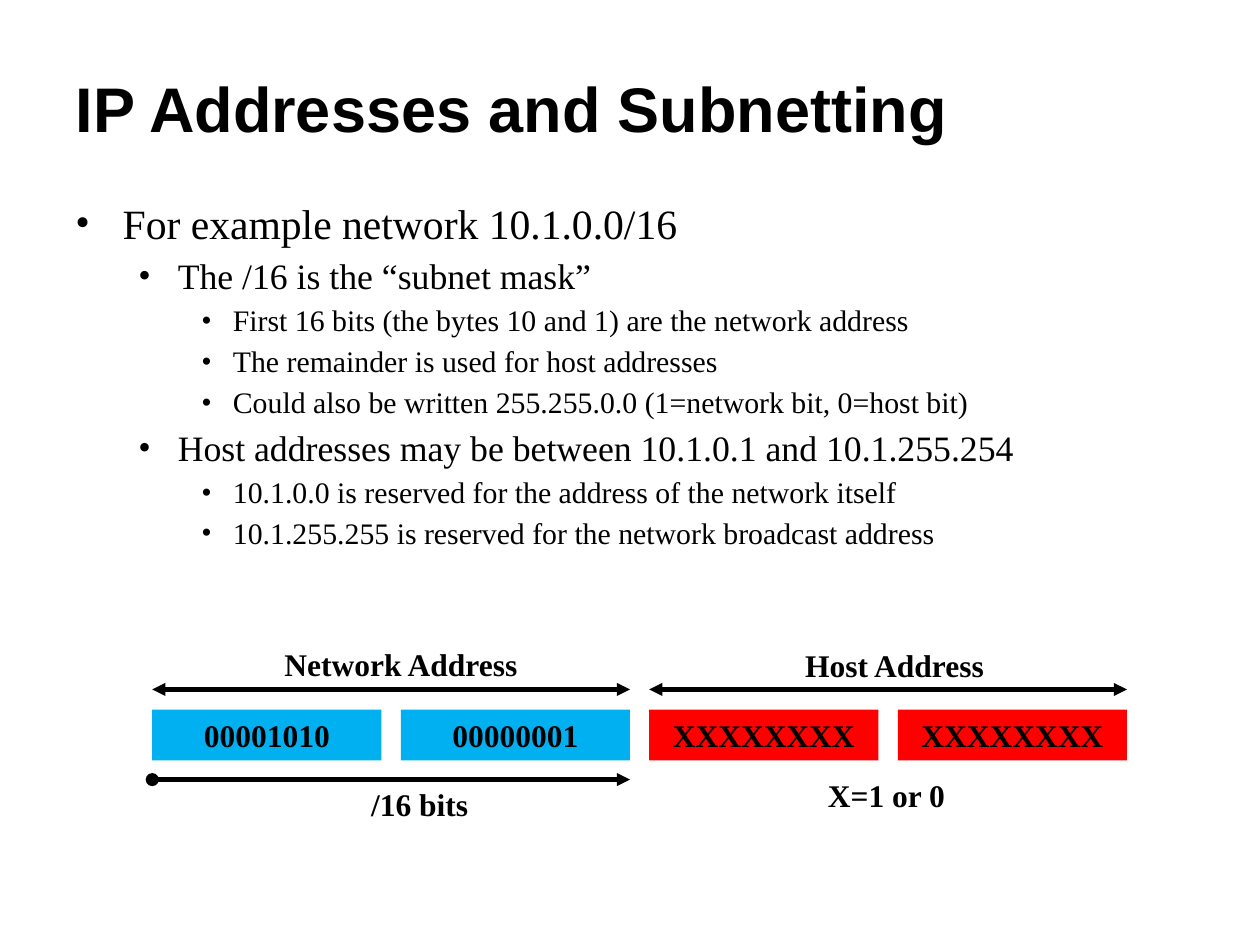
from lxml.etree import SubElement
from pptx import Presentation
from pptx.dml.color import RGBColor
from pptx.enum.shapes import MSO_CONNECTOR, MSO_SHAPE
from pptx.enum.text import MSO_ANCHOR, PP_ALIGN
from pptx.oxml.ns import qn
from pptx.util import Pt

TITLE = "IP Addresses and Subnetting"
BULLETS = [  # level, text
    (0, "For example network 10.1.0.0/16"),
    (1, "The /16 is the “subnet mask”"),
    (2, "First 16 bits (the bytes 10 and 1) are the network address"),
    (2, "The remainder is used for host addresses"),
    (2, "Could also be written 255.255.0.0 (1=network bit, 0=host bit)"),
    (1, "Host addresses may be between 10.1.0.1 and 10.1.255.254"),
    (2, "10.1.0.0 is reserved for the address of the network itself"),
    (2, "10.1.255.255 is reserved for the network broadcast address"),
]
BYTES = [  # text, theme colour
    ("00001010", "network"),
    ("00000001", "network"),
    ("XXXXXXXX", "host"),
    ("XXXXXXXX", "host"),
]
LABELS = [  # text, left, top, width
    ("Network Address", 155.5, 365, 163),
    ("Host Address", 453, 365.5, 163),
    ("/16 bits", 205, 445, 110),
    ("X=1 or 0", 466, 440, 110),
]
SPANS = [  # first byte covered, y, start arrowhead
    (0, 394, "triangle"),
    (2, 394, "triangle"),
    (0, 445.5, "oval"),
]
THEME = {
    "ink": RGBColor(0, 0, 0),
    "network": RGBColor(0x00, 0xB0, 0xF0),
    "host": RGBColor(0xFF, 0, 0),
    "title_font": "Arial",
    "body_font": "Times New Roman",
    "title_size": 36,
    "label_size": 18,
    "line_width": 2.5,
}
LEVELS = [  # type size, text indent, hanging indent, space before
    (23.8, 27, 27, 7),
    (20.4, 58.5, 22.5, 6),
    (17, 90, 18, 5),
]
BYTE_LEFT, BYTE_TOP, BYTE_WIDTH, BYTE_HEIGHT, BYTE_PITCH = 87, 405.5, 131, 29, 142


def style(font, size, bold=False, name=THEME["body_font"]):
    font.name, font.size, font.bold = name, Pt(size), bold
    font.color.rgb = THEME["ink"]


def add_box(slide, left, top, width, height):
    sp = slide.shapes.add_textbox(Pt(left), Pt(top), Pt(width), Pt(height))
    sp.text_frame.word_wrap = True
    return sp.text_frame


def set_bullet(p, indent, hanging):
    pPr = p._p.get_or_add_pPr()
    pPr.set("marL", str(Pt(indent)))
    pPr.set("indent", str(-Pt(hanging)))
    SubElement(pPr, qn("a:buFont"), typeface=THEME["body_font"])
    SubElement(pPr, qn("a:buChar"), char="•")


def add_title(slide):
    sp = slide.shapes.title
    sp.left, sp.top, sp.width, sp.height = Pt(36), Pt(22), Pt(648), Pt(79)
    tf = sp.text_frame
    tf.text = TITLE
    tf.vertical_anchor = MSO_ANCHOR.MIDDLE
    p = tf.paragraphs[0]
    p.alignment = PP_ALIGN.LEFT
    style(p.runs[0].font, THEME["title_size"], True, THEME["title_font"])


def add_bullets(slide):
    tf = add_box(slide, 36, 112.5, 647, 225)
    for i, (level, text) in enumerate(BULLETS):
        size, indent, hanging, before = LEVELS[level]
        p = tf.add_paragraph() if i else tf.paragraphs[0]
        p.text = text
        p.level = level
        p.line_spacing = 0.9
        p.space_before = Pt(before if i else 0)
        set_bullet(p, indent, hanging)
        style(p.runs[0].font, size)


def add_byte(slide, i, text, colour):
    sp = slide.shapes.add_shape(
        MSO_SHAPE.RECTANGLE, Pt(BYTE_LEFT + i * BYTE_PITCH), Pt(BYTE_TOP),
        Pt(BYTE_WIDTH), Pt(BYTE_HEIGHT))
    sp.shadow.inherit = False
    sp.fill.solid()
    sp.fill.fore_color.rgb = THEME[colour]
    sp.line.fill.background()
    sp.text_frame.text = text
    p = sp.text_frame.paragraphs[0]
    p.alignment = PP_ALIGN.CENTER
    style(p.runs[0].font, THEME["label_size"], True)


def add_span(slide, first, y, head):
    """Draw an arrow across two neighbouring bytes."""
    left = BYTE_LEFT + first * BYTE_PITCH
    right = left + BYTE_PITCH + BYTE_WIDTH
    line = slide.shapes.add_connector(
        MSO_CONNECTOR.STRAIGHT, Pt(left), Pt(y), Pt(right), Pt(y))
    line.line.color.rgb = THEME["ink"]
    line.line.width = Pt(THEME["line_width"])
    ln = line.line._get_or_add_ln()
    SubElement(ln, qn("a:headEnd"), type=head)
    SubElement(ln, qn("a:tailEnd"), type="triangle")
    SubElement(line._element.spPr, qn("a:effectLst"))


def add_label(slide, text, left, top, width):
    tf = add_box(slide, left, top, width, BYTE_HEIGHT)
    tf.text = text
    style(tf.paragraphs[0].runs[0].font, THEME["label_size"], True)


def main():
    prs = Presentation()
    prs.slide_width, prs.slide_height = Pt(720), Pt(540)
    slide = prs.slides.add_slide(prs.slide_layouts[5])
    add_title(slide)
    add_bullets(slide)
    for i, (text, colour) in enumerate(BYTES):
        add_byte(slide, i, text, colour)
    for span in SPANS:
        add_span(slide, *span)
    for label in LABELS:
        add_label(slide, *label)
    prs.save("out.pptx")


if __name__ == "__main__":
    main()
